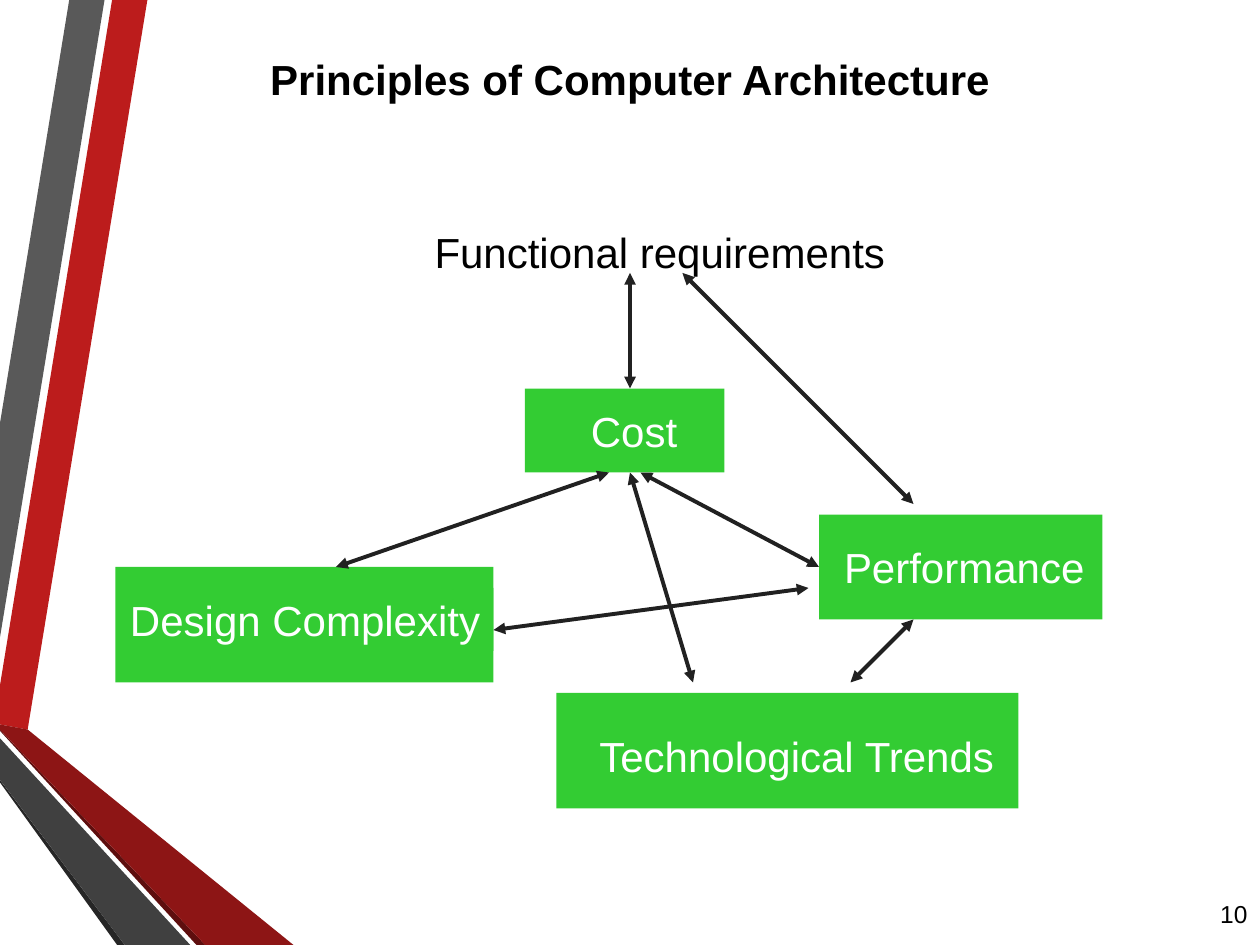
import pptx
import pptx.util
import pptx.dml.color
import pptx.enum.shapes
import pptx.enum.text
import pptx.oxml.xmlchemy

RGB = pptx.dml.color.RGBColor
ALIGN = pptx.enum.text.PP_ALIGN
ANCHOR = pptx.enum.text.MSO_ANCHOR
KIND = pptx.enum.shapes
BLACK = RGB(0x00, 0x00, 0x00)
WHITE = RGB(0xFF, 0xFF, 0xFF)
GREEN = RGB(0x33, 0xCC, 0x33)
INK = RGB(0x21, 0x21, 0x21)
RED = RGB(0xBC, 0x1C, 0x1C)
GREY = RGB(0x59, 0x59, 0x59)
COAL = RGB(0x26, 0x26, 0x26)
WINE = RGB(0x5E, 0x0E, 0x0E)
RUST = RGB(0x8D, 0x15, 0x15)
SLATE = RGB(0x40, 0x40, 0x40)
COLS = 120

RIBBONS = [
    (RED, [(0, 65.28), (0, 69), (2.64, 69.48), (14.04, 0), (10.68, 0)]),
    (GREY, [(9.96, 0), (6.6, 0), (0, 40.32), (0, 60.72)]),
    (COAL, [(0, 74.28), (0, 74.52), (11.16, 90), (11.88, 90)]),
    (WINE, [(0, 69.48), (0, 69.6), (18.72, 90), (19.56, 90)]),
    (RUST, [(0, 69.48), (19.56, 90), (27.96, 90), (2.64, 69.48), (0, 69)]),
    (SLATE, [(0, 74.28), (11.88, 90), (18.12, 90), (0, 70.32)]),
]
BOXES = [
    ("Cost", (50, 37, 19, 8), (55.1, 38, 10.6, 6)),
    ("Technological Trends", (53, 66, 44, 11), (55.9, 69, 40.6, 6)),
    ("Performance", (78, 49, 27, 10), (79.2, 51, 25.3, 6)),
    ("Design Complexity", (11, 54, 36, 11), (11.2, 56, 35.8, 6)),
]
ARROWS = [
    (60, 26, 60, 37),
    (60, 45, 66, 65),
    (61, 45, 78, 54),
    (65, 26, 87, 48),
    (87, 59, 81, 65),
    (58, 45, 32, 54),
    (77, 56, 47, 60),
]


class Deck:
    """Draws styled elements on a slide whose grid cell is a twelfth of an inch."""

    def __init__(self):
        self.show = pptx.Presentation()
        self.show.slide_width = pptx.util.Inches(10)
        self.show.slide_height = pptx.util.Inches(7.5)
        self.cell = self.show.slide_width // COLS
        self.slide = self.show.slides.add_slide(self.show.slide_layouts[5])
        self.shapes = self.slide.shapes

    def place(self, *grid):
        return [round(size * self.cell) for size in grid]

    def paint(self, shape, color):
        shape.fill.solid()
        shape.fill.fore_color.rgb = color
        shape.line.fill.background()
        shape.shadow.inherit = False

    def label(self, shape, text, color, size=24, bold=False,
              align=ALIGN.LEFT, anchor=ANCHOR.TOP, wrap=False):
        frame = shape.text_frame
        frame.text = text
        frame.word_wrap = wrap
        frame.auto_size = pptx.enum.text.MSO_AUTO_SIZE.NONE
        frame.vertical_anchor = anchor
        line = frame.paragraphs[0]
        line.alignment = align
        font = line.runs[0].font
        font.name = "Arial"
        font.size = pptx.util.Pt(size)
        font.bold = bold
        font.color.rgb = color

    def title(self, text, *grid):
        head = self.shapes.title
        head.left, head.top, head.width, head.height = self.place(*grid)
        self.label(head, text, BLACK, bold=True, align=ALIGN.CENTER,
                   anchor=ANCHOR.MIDDLE, wrap=True)

    def text(self, text, *grid, **style):
        box = self.shapes.add_textbox(*self.place(*grid))
        self.label(box, text, BLACK, **style)

    def rect(self, *grid):
        shape = self.shapes.add_shape(KIND.MSO_SHAPE.RECTANGLE, *self.place(*grid))
        self.paint(shape, GREEN)
        return shape

    def ribbon(self, color, points):
        pen = self.shapes.build_freeform(*self.place(*points[0]))
        pen.add_line_segments([self.place(*point) for point in points[1:]], close=True)
        self.paint(pen.convert_to_shape(), color)

    def arrow(self, *ends):
        link = self.shapes.add_connector(KIND.MSO_CONNECTOR.STRAIGHT, *self.place(*ends))
        link.line.color.rgb = INK
        link.line.width = pptx.util.Pt(2.25)
        props = link._element.spPr
        line = props.get_or_add_ln()
        for tag in ("a:headEnd", "a:tailEnd"):
            tip = pptx.oxml.xmlchemy.OxmlElement(tag)
            tip.set("type", "triangle")
            line.append(tip)
        props.append(pptx.oxml.xmlchemy.OxmlElement("a:effectLst"))


def main():
    """Build the slide."""
    deck = Deck()
    for color, points in RIBBONS:
        deck.ribbon(color, points)
    deck.title("Principles of Computer Architecture", 9, 4, 102, 7)
    deck.text("10", 95, 84, 25, 6, size=14, align=ALIGN.RIGHT,
              anchor=ANCHOR.MIDDLE, wrap=True)
    deck.text("Functional requirements", 40.2, 21, 45.2, 6)
    for text, box, spot in BOXES:
        deck.rect(*box)
        deck.label(deck.rect(*spot), text, WHITE)
    for ends in ARROWS:
        deck.arrow(*ends)
    deck.show.save("out.pptx")


if __name__ == "__main__":
    main()
